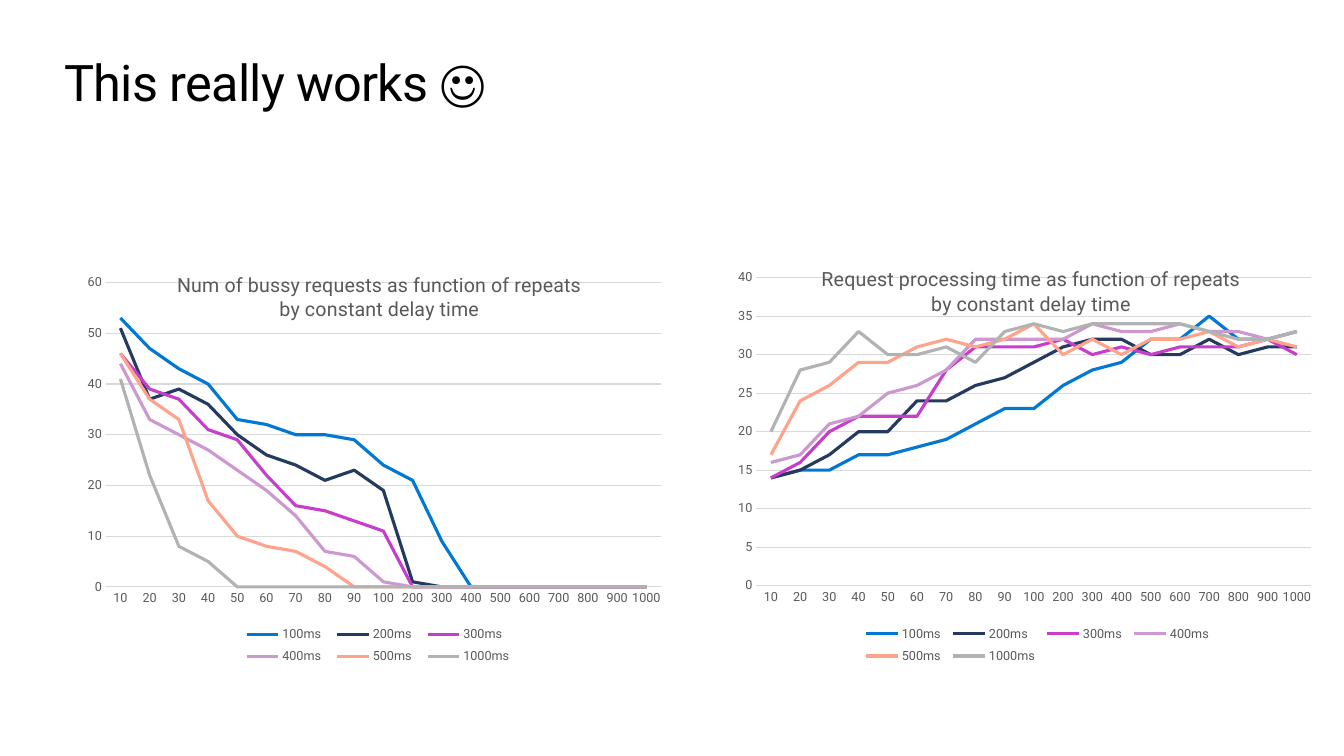
from dataclasses import dataclass

from lxml import etree
from pptx import Presentation
from pptx import util as u
from pptx.chart.data import CategoryChartData
from pptx.dml.color import RGBColor
from pptx.enum import chart as charts
from pptx.enum import text
from pptx.oxml import ns

WIDTH, HEIGHT = 13.33, 7.5
FONT = "Roboto"
COLORS = {
    "title": "000000",
    "label": "595959",
    "grid": "D9D9D9",
    "100ms": "0078D4",
    "200ms": "243A5E",
    "300ms": "C73ECC",
    "400ms": "CD98CF",
    "500ms": "FFA38B",
    "1000ms": "B1B3B3",
}
REPEATS = [str(n) for n in (*range(10, 100, 10), *range(100, 1001, 100))]


@dataclass(frozen=True)
class Box:
    """Left, top, width and height as shares of the surrounding area."""
    left: float
    top: float
    width: float = 0
    height: float = 0

    def on_slide(self) -> tuple[int, int, int, int]:
        return (u.Inches(self.left * WIDTH), u.Inches(self.top * HEIGHT),
                u.Inches(self.width * WIDTH), u.Inches(self.height * HEIGHT))


@dataclass(frozen=True)
class DelayChart:
    title_lines: tuple[str, str]
    area: Box
    title_place: Box
    legend_place: Box
    top_value: int
    step: int
    delays: dict[str, list[int]]


HEADING = Box(0.048, 0.0667, 0.904, 0.0813)
PLOT = Box(0.048, 0.074, 0.912, 0.714)
DELAY_CHARTS = (
    DelayChart(
        ("Num of bussy requests as function of repeats ", "by constant delay time "),
        Box(0.057, 0.332, 0.453, 0.564), Box(0.16, 0.04), Box(0.26, 0.865, 0.47, 0.12), 60, 10,
        {
            "100ms": [53, 47, 43, 40, 33, 32, 30, 30, 29, 24, 21, 9] + [0] * 7,
            "200ms": [51, 37, 39, 36, 30, 26, 24, 21, 23, 19, 1] + [0] * 8,
            "300ms": [46, 39, 37, 31, 29, 22, 16, 15, 13, 11] + [0] * 9,
            "400ms": [44, 33, 30, 27, 23, 19, 14, 7, 6, 1] + [0] * 9,
            "500ms": [46, 37, 33, 17, 10, 8, 7, 4] + [0] * 11,
            "1000ms": [41, 22, 8, 5] + [0] * 15,
        },
    ),
    DelayChart(
        ("Request processing time as function of repeats ", "by constant delay time "),
        Box(0.541, 0.325, 0.453, 0.571), Box(0.15, 0.04), Box(0.215, 0.865, 0.59, 0.12), 40, 5,
        {
            "100ms": [14, 15, 15, 17, 17, 18, 19, 21, 23, 23, 26, 28, 29, 32, 32, 35, 32, 32, 33],
            "200ms": [14, 15, 17, 20, 20, 24, 24, 26, 27, 29, 31, 32, 32, 30, 30, 32, 30, 31, 31],
            "300ms": [14, 16, 20, 22, 22, 22, 28, 31, 31, 31, 32, 30, 31, 30, 31, 31, 31, 32, 30],
            "400ms": [16, 17, 21, 22, 25, 26, 28, 32, 32, 32, 32, 34, 33, 33, 34, 33, 33, 32, 33],
            "500ms": [17, 24, 26, 29, 29, 31, 32, 31, 32, 34, 30, 32, 30, 32, 32, 33, 31, 32, 31],
            "1000ms": [20, 28, 29, 33, 30, 30, 31, 29, 33, 34, 33, 34, 34, 34, 34, 33, 32, 32, 33],
        },
    ),
)


def rgb(name: str) -> RGBColor:
    return RGBColor.from_string(COLORS[name])


def style_font(font, size: float, color: str) -> None:
    font.name, font.size, font.bold = FONT, u.Pt(size), False
    font.color.rgb = rgb(color)


def style_line(line, color: str, width: float) -> None:
    line.color.rgb = rgb(color)
    line.width = u.Pt(width)


def set_layout(element, box: Box, inner: bool = False) -> None:
    """Fix the place of a chart part by a manual layout."""
    for old in element.findall(ns.qn("c:layout")):
        element.remove(old)
    layout = etree.Element(ns.qn("c:layout"))
    manual = etree.SubElement(layout, ns.qn("c:manualLayout"))
    settings = {"layoutTarget": "inner"} if inner else {}
    settings |= {"xMode": "edge", "yMode": "edge", "x": box.left, "y": box.top}
    if box.width:
        settings |= {"w": box.width, "h": box.height}
    for tag, value in settings.items():
        etree.SubElement(manual, ns.qn(f"c:{tag}")).set("val", str(value))
    overlay = element.find(ns.qn("c:overlay"))
    if overlay is None:
        element.insert(0, layout)
    else:
        overlay.addprevious(layout)


def add_heading(slide) -> None:
    frame = slide.shapes.add_textbox(*HEADING.on_slide()).text_frame
    frame.word_wrap = True
    frame.vertical_anchor = text.MSO_ANCHOR.MIDDLE
    frame.margin_left = frame.margin_right = frame.margin_top = frame.margin_bottom = 0
    run = frame.paragraphs[0].add_run()
    run.text = "This really works ☺"
    style_font(run.font, 36, "title")
    run.font._element.set("spc", "-50")


def add_chart_title(chart, delay_chart: DelayChart) -> None:
    chart.has_title = True
    frame = chart.chart_title.text_frame
    for index, line in enumerate(delay_chart.title_lines):
        paragraph = frame.add_paragraph() if index else frame.paragraphs[0]
        paragraph.alignment = text.PP_ALIGN.CENTER
        run = paragraph.add_run()
        run.text = line
        style_font(run.font, 14, "label")
    set_layout(chart.chart_title._element, delay_chart.title_place)


def style_axes(chart, delay_chart: DelayChart) -> None:
    for axis in (chart.category_axis, chart.value_axis):
        axis.major_tick_mark = axis.minor_tick_mark = charts.XL_TICK_MARK.NONE
        style_font(axis.tick_labels.font, 9, "label")
    style_line(chart.category_axis.format.line, "grid", 0.75)
    values = chart.value_axis
    values.minimum_scale, values.maximum_scale = 0, delay_chart.top_value
    values.major_unit = delay_chart.step
    values.format.line.fill.background()
    style_line(values.major_gridlines.format.line, "grid", 0.75)


def add_delay_chart(slide, delay_chart: DelayChart) -> None:
    data = CategoryChartData()
    data.categories = REPEATS
    for name, values in delay_chart.delays.items():
        data.add_series(name, values)
    chart = slide.shapes.add_chart(
        charts.XL_CHART_TYPE.LINE, *delay_chart.area.on_slide(), data).chart
    style_font(chart.font, 10, "title")
    add_chart_title(chart, delay_chart)
    style_axes(chart, delay_chart)
    chart.has_legend = True
    chart.legend.position = charts.XL_LEGEND_POSITION.BOTTOM
    chart.legend.include_in_layout = False
    style_font(chart.legend.font, 9, "label")
    set_layout(chart.legend._element, delay_chart.legend_place)
    plot = chart.plots[0]
    plot.vary_by_categories = False
    set_layout(plot._element.getparent(), PLOT, inner=True)
    for series in plot.series:
        series.smooth = False
        series.marker.style = charts.XL_MARKER_STYLE.NONE
        style_line(series.format.line, series.name, 2.25)


def main() -> None:
    presentation = Presentation()
    presentation.slide_width = u.Inches(WIDTH)
    presentation.slide_height = u.Inches(HEIGHT)
    slide = presentation.slides.add_slide(presentation.slide_layouts[6])
    add_heading(slide)
    for delay_chart in DELAY_CHARTS:
        add_delay_chart(slide, delay_chart)
    presentation.save("out.pptx")


if __name__ == "__main__":
    main()
